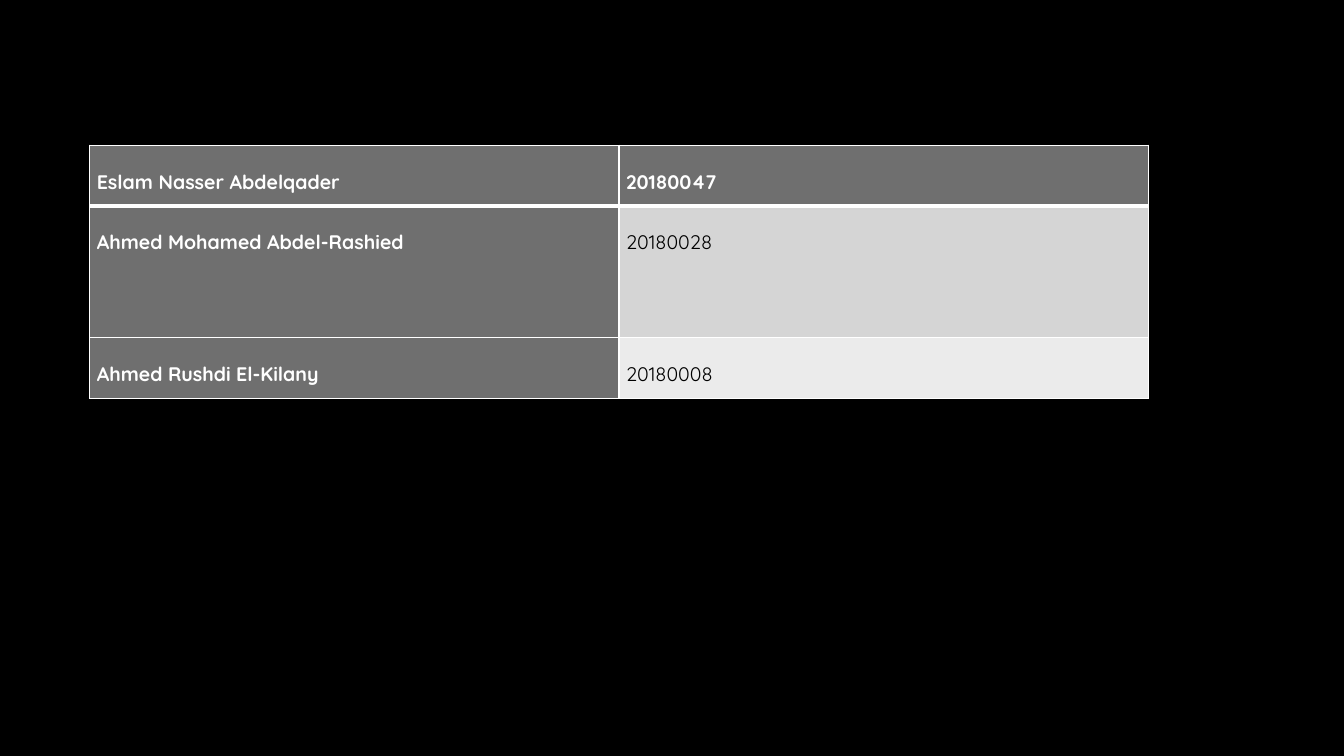
"""Build a slide with a table of student names and numbers."""
from lxml import etree
from pptx import Presentation
from pptx.dml.color import RGBColor
from pptx.oxml.ns import qn
from pptx.util import Inches, Pt

BLACK = RGBColor(0x00, 0x00, 0x00)
WHITE = RGBColor(0xFF, 0xFF, 0xFF)
DARK_GRAY = RGBColor(0x6F, 0x6F, 0x6F)
MID_GRAY = RGBColor(0xD5, 0xD5, 0xD5)
LIGHT_GRAY = RGBColor(0xEB, 0xEB, 0xEB)

STUDENTS = [
    ("Eslam Nasser Abdelqader", "20180047", 0.6, DARK_GRAY),
    ("Ahmed Mohamed Abdel-Rashied", "20180028", 1.31, MID_GRAY),
    ("Ahmed Rushdi El-Kilany", "20180008", 0.6, LIGHT_GRAY),
]


def set_borders(cell, widths):
    """Draw white borders, with widths in points by side."""
    properties = cell._tc.get_or_add_tcPr()
    for position, (side, width) in enumerate(widths.items()):
        line = etree.Element(qn(f"a:ln{side}"), w=str(Pt(width)))
        fill = etree.SubElement(line, qn("a:solidFill"))
        etree.SubElement(fill, qn("a:srgbClr"), val=str(WHITE))
        properties.insert(position, line)


presentation = Presentation()
presentation.slide_width = Inches(13.33)
presentation.slide_height = Inches(7.5)
slide = presentation.slides.add_slide(presentation.slide_layouts[6])
slide.background.fill.solid()
slide.background.fill.fore_color.rgb = BLACK

table = slide.shapes.add_table(
    len(STUDENTS), 2, Inches(0.89), Inches(1.44), Inches(10.51), Inches(2.51)
).table
table.first_col = True
for column in table.columns:
    column.width = Inches(5.25)

for row_index, (name, number, height, number_fill) in enumerate(STUDENTS):
    table.rows[row_index].height = Inches(height)
    for column_index, text in enumerate((name, number)):
        cell = table.cell(row_index, column_index)
        is_heading = row_index == 0 or column_index == 0
        cell.margin_left = cell.margin_right = Inches(0.07)
        cell.margin_top = cell.margin_bottom = 0
        cell.fill.solid()
        cell.fill.fore_color.rgb = DARK_GRAY if is_heading else number_fill
        set_borders(cell, {
            "L": 1,
            "R": 1,
            "T": 3 if row_index == 1 else 1,
            "B": 3 if row_index == 0 else 1,
        })
        paragraph = cell.text_frame.paragraphs[0]
        paragraph.line_spacing = 2.0
        run = paragraph.add_run()
        run.text = text
        run.font.name = "Quicksand"
        run.font.size = Pt(14)
        run.font.bold = is_heading
        run.font.color.rgb = WHITE if is_heading else BLACK

presentation.save("out.pptx")
